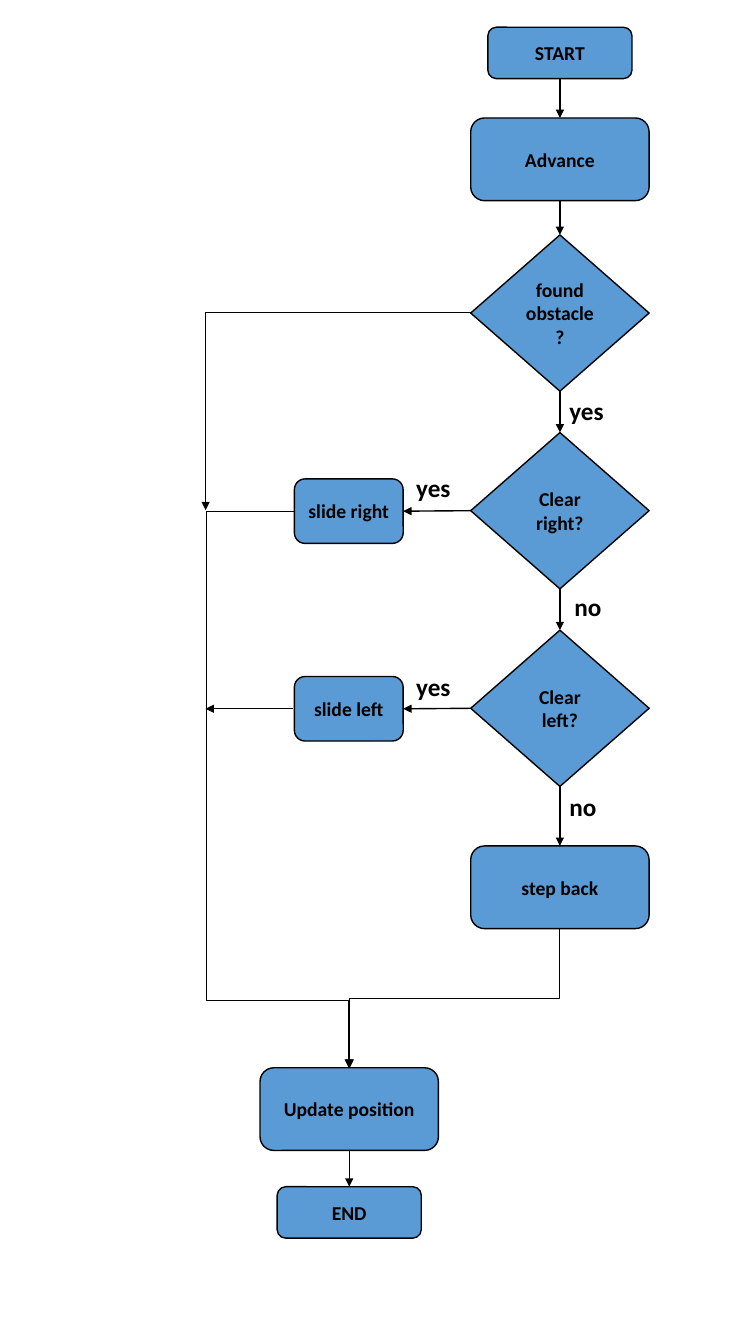
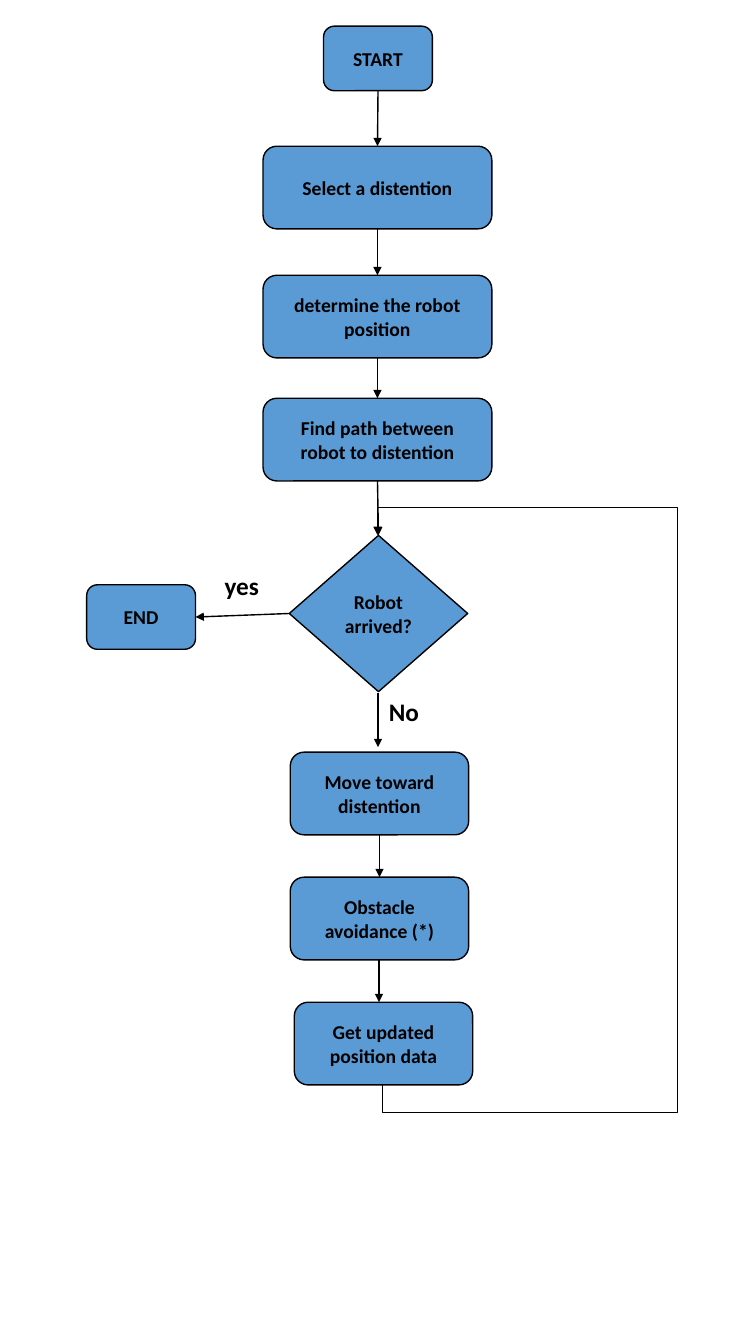
from pptx import Presentation
from pptx.dml.color import RGBColor
from pptx.enum import shapes, text
from pptx.oxml.ns import qn
from pptx.util import Inches, Pt
from lxml import etree

# Shared style
COLORS = {"node": "5B9BD5", "ink": "000000"}
FONT = "Calibri"
ROUND = shapes.MSO_SHAPE.ROUNDED_RECTANGLE
DIAMOND = shapes.MSO_SHAPE.DIAMOND
STRAIGHT = shapes.MSO_CONNECTOR.STRAIGHT
ELBOW = shapes.MSO_CONNECTOR.ELBOW
TOP, LEFT, BOTTOM, RIGHT = range(4)

# Node kinds: preset shape, width, height
KINDS = {
    "terminal": (ROUND, 1.43, 0.51),
    "small": (ROUND, 1.08, 0.64),
    "step": (ROUND, 1.77, 0.82),
    "wide": (ROUND, 2.27, 0.82),
    "decision": (DIAMOND, 1.77, 1.55),
}

# Nodes: text, kind, left, top
# Links: from node, site, to node, site
# Arrows: start x, y, end x, y
# Elbows: box corner to corner, rotation, preset, adjustments
CHARTS = [
    {
        "nodes": [
            ("START", "terminal", 4.84, 0.27),
            ("Advance", "step", 4.67, 1.17),
            ("found\nobstacle?", "decision", 4.67, 2.33),
            ("Clear right?", "decision", 4.67, 4.29),
            ("Clear left?", "decision", 4.67, 6.25),
            ("step back", "step", 4.67, 8.39),
            ("slide right", "small", 2.92, 4.75),
            ("slide left", "small", 2.92, 6.71),
            ("Update position", "step", 2.58, 10.59),
            ("END", "terminal", 2.75, 11.77),
        ],
        "links": [
            ("START", BOTTOM, "Advance", TOP),
            ("Advance", BOTTOM, "found\nobstacle?", TOP),
            ("found\nobstacle?", BOTTOM, "Clear right?", TOP),
            ("Clear right?", BOTTOM, "Clear left?", TOP),
            ("Clear left?", BOTTOM, "step back", TOP),
            ("Clear right?", LEFT, "slide right", RIGHT),
            ("Clear left?", LEFT, "slide left", RIGHT),
            ("Update position", BOTTOM, "END", TOP),
        ],
        "arrows": [(2.91, 7.03, 2.04, 7.03)],
        "elbows": [
            ((4.67, 3.1, 2.04, 5.06), 0, "bentConnector3", [1]),
            ((2.92, 5.07, 3.46, 10.59), 0, "bentConnector4", [-1.62, 0.88]),
            ((3.82, 8.86, 5.2, 10.94), 90, "bentConnector3", [0.5]),
        ],
        "labels": [("yes", 5.55, 3.87), ("no", 5.6, 5.82), ("no", 5.55, 7.8),
                   ("yes", 4.03, 4.64), ("yes", 4.03, 6.61)],
    },
    {
        "nodes": [
            ("START", "small", 3.21, 0.26),
            ("Select a distention", "wide", 2.61, 1.45),
            ("determine the robot position", "wide", 2.61, 2.73),
            ("Find path between robot to distention", "wide", 2.61, 3.95),
            ("Robot arrived?", "decision", 2.87, 5.31),
            ("END", "small", 0.86, 5.8),
            ("Move toward distention", "step", 2.88, 7.46),
            ("Obstacle avoidance (*)", "step", 2.88, 8.7),
            ("Get updated position data", "step", 2.92, 9.94),
        ],
        "links": [
            ("START", BOTTOM, "Select a distention", TOP),
            ("Select a distention", BOTTOM, "determine the robot position", TOP),
            ("determine the robot position", BOTTOM,
             "Find path between robot to distention", TOP),
            ("Find path between robot to distention", BOTTOM, "Robot arrived?", TOP),
            ("Robot arrived?", LEFT, "END", RIGHT),
            ("Move toward distention", BOTTOM, "Obstacle avoidance (*)", TOP),
        ],
        "arrows": [(3.75, 6.87, 3.75, 7.41), (3.76, 9.52, 3.76, 9.94)],
        "elbows": [
            ((6.5, 8.01, 1.04, 8.06), 90, "bentConnector5", [-0.05, -58.6, 1.05]),
        ],
        "labels": [("yes", 2.13, 5.61), ("No", 3.76, 6.86)],
    },
]


def write(shape, words, size, align):
    tf = shape.text_frame
    tf.word_wrap = True
    tf.text = words
    for p in tf.paragraphs:
        p.alignment = align
        p.font.name, p.font.size, p.font.bold = FONT, Pt(size), True
        p.font.color.rgb = RGBColor.from_string(COLORS["ink"])


def connect(s, kind, ends, width):
    c = s.shapes.add_connector(kind, *map(Inches, ends))
    c.line.color.rgb = RGBColor.from_string(COLORS["ink"])
    c.line.width = Pt(width)
    sp_pr = c.element.spPr
    etree.SubElement(sp_pr.find(qn("a:ln")), qn("a:tailEnd"), type="triangle")
    etree.SubElement(sp_pr, qn("a:effectLst"))
    return c


prs = Presentation()
prs.slide_width, prs.slide_height = Inches(7.5), Inches(13.33)

for chart in CHARTS:
    s = prs.slides.add_slide(prs.slide_layouts[6])

    # Steps and decisions
    nodes = {}
    for words, kind, x, y in chart["nodes"]:
        preset, w, h = KINDS[kind]
        sp = s.shapes.add_shape(preset, Inches(x), Inches(y), Inches(w), Inches(h))
        sp.shadow.inherit = False
        sp.fill.solid()
        sp.fill.fore_color.rgb = RGBColor.from_string(COLORS["node"])
        sp.line.color.rgb = RGBColor.from_string(COLORS["ink"])
        sp.line.width = Pt(1)
        sp.text_frame.vertical_anchor = text.MSO_ANCHOR.MIDDLE
        write(sp, words, 14, text.PP_ALIGN.CENTER)
        nodes[words] = sp

    # Straight arrows, attached to nodes or free
    for start, start_site, end, end_site in chart["links"]:
        c = connect(s, STRAIGHT, (0, 0, 0, 0), 1)
        c.begin_connect(nodes[start], start_site)
        c.end_connect(nodes[end], end_site)
    for ends in chart["arrows"]:
        connect(s, STRAIGHT, ends, 1)

    # Elbow arrows
    for ends, angle, preset, adjustments in chart["elbows"]:
        sp_pr = connect(s, ELBOW, ends, 0.75).element.spPr
        sp_pr.find(qn("a:xfrm")).set("rot", str(angle * 60000))
        geom = sp_pr.find(qn("a:prstGeom"))
        geom.set("prst", preset)
        for i, value in enumerate(adjustments, 1):
            etree.SubElement(geom.find(qn("a:avLst")), qn("a:gd"),
                             name=f"adj{i}", fmla=f"val {round(value * 100000)}")

    # Branch labels
    for words, x, y in chart["labels"]:
        box = s.shapes.add_textbox(Inches(x), Inches(y), Inches(0.78), Inches(0.4))
        write(box, words, 18, text.PP_ALIGN.LEFT)
        box.text_frame.auto_size = text.MSO_AUTO_SIZE.SHAPE_TO_FIT_TEXT

prs.save("out.pptx")
